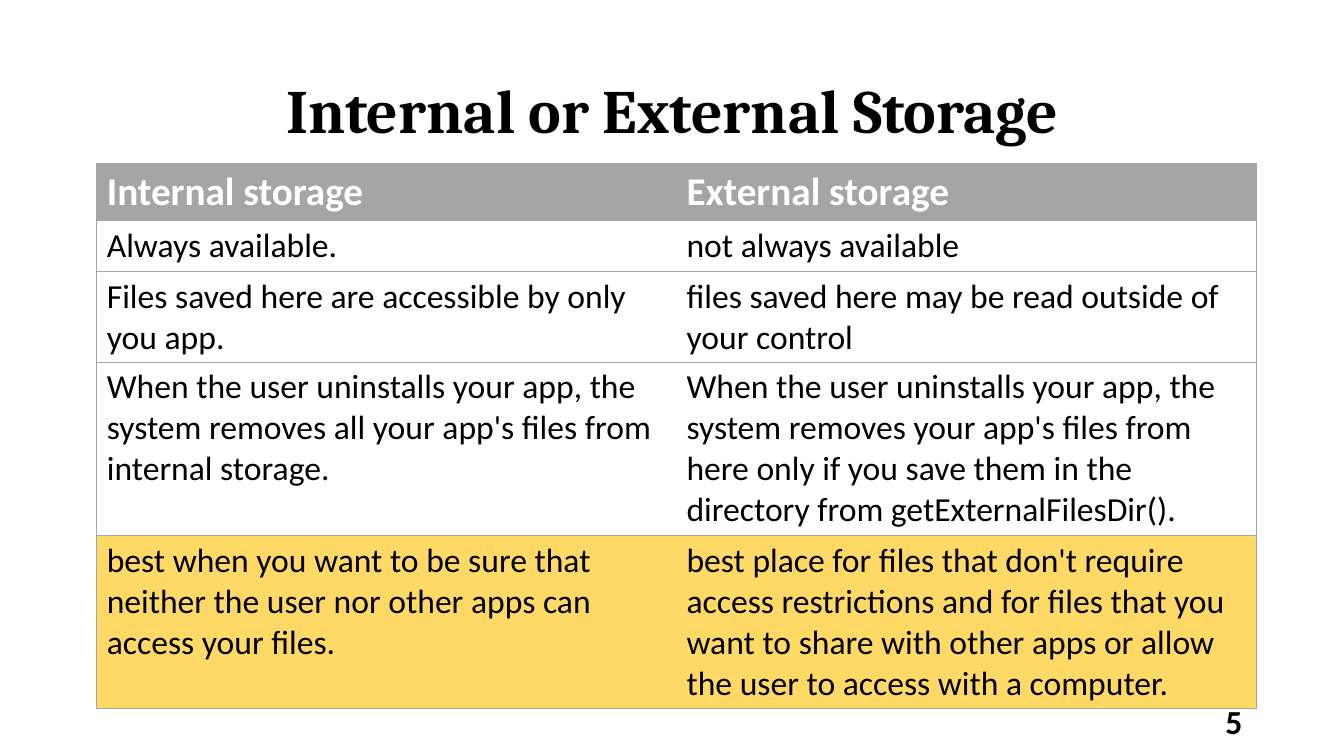
from pptx import Presentation
from pptx.dml.color import RGBColor
from pptx.enum.text import MSO_ANCHOR as ANCHOR, PP_ALIGN as ALIGN
from pptx.oxml import parse_xml
from pptx.oxml.ns import nsdecls
from pptx.util import Inches, Pt

BLACK, WHITE, GRAY, YELLOW = "000000", "FFFFFF", "A5A5A5", "FFD966"

STORAGE_ROWS = [
    ("Internal storage", "External storage"),
    ("Always available.", "not always available"),
    ("Files saved here are accessible by only you app.",
     "files saved here may be read outside of your control"),
    ("When the user uninstalls your app, the system removes all your app's "
     "files from internal storage.",
     "When the user uninstalls your app, the system removes your app's files "
     "from here only if you save them in the directory from "
     "getExternalFilesDir()."),
    ("best when you want to be sure that neither the user nor other apps can "
     "access your files.",
     "best place for files that don't require access restrictions and for "
     "files that you want to share with other apps or allow the user to "
     "access with a computer."),
]
ROW_HEIGHTS = [0.57, 0.5, 0.9, 1.72, 1.72]


def rgb(color):
    return RGBColor.from_string(color)


class SlideBuilder:
    def __init__(self, slide, border=GRAY, border_width=0.5):
        self.slide = slide
        self.border = border
        self.border_width = border_width

    def style(self, p, size, color=BLACK, bold=False, font="Calibri"):
        p.font.name = font
        p.font.size = Pt(size)
        p.font.bold = bold
        p.font.color.rgb = rgb(color)

    def text(self, left, top, width, height, text, size, align,
             font="Calibri", line_spacing=1.0):
        sp = self.slide.shapes.add_textbox(
            Inches(left), Inches(top), Inches(width), Inches(height))
        tf = sp.text_frame
        tf.word_wrap = True
        tf.vertical_anchor = ANCHOR.MIDDLE
        p = tf.paragraphs[0]
        p.text = text
        p.alignment = align
        p.line_spacing = line_spacing
        self.style(p, size, bold=True, font=font)

    def borders(self, cell, sides):
        """Draw the named sides (L, R, T, B) and hide the others."""
        tc_pr = cell._tc.get_or_add_tcPr()
        for i, side in enumerate("LRTB"):
            paint = (f'<a:solidFill><a:srgbClr val="{self.border}"/></a:solidFill>'
                     if side in sides else "<a:noFill/>")
            tc_pr.insert(i, parse_xml(
                f'<a:ln{side} {nsdecls("a")} w="{Pt(self.border_width)}">'
                f'{paint}</a:ln{side}>'))

    def table(self, left, top, width, rows, heights):
        """Draw a table with a gray header and a highlighted last row."""
        n_cols = len(rows[0])
        table = self.slide.shapes.add_table(
            len(rows), n_cols, Inches(left), Inches(top),
            Inches(width), Inches(sum(heights))).table
        table.horz_banding = False
        last = len(rows) - 1
        for i, (texts, height) in enumerate(zip(rows, heights)):
            table.rows[i].height = Inches(height)
            header = i == 0
            fill = GRAY if header else YELLOW if i == last else WHITE
            for j, text in enumerate(texts):
                cell = table.cell(i, j)
                cell.fill.solid()
                cell.fill.fore_color.rgb = rgb(fill)
                self.borders(cell, "TB" + ("L" if j == 0 else "")
                             + ("R" if j == n_cols - 1 else ""))
                p = cell.text_frame.paragraphs[0]
                p.text = text
                self.style(p, 28 if header else 24,
                           WHITE if header else BLACK, header)


def main():
    prs = Presentation()
    prs.slide_width = Inches(13.33)
    prs.slide_height = Inches(7.5)
    s = SlideBuilder(prs.slides.add_slide(prs.slide_layouts[6]))
    s.text(0.92, 0.4, 11.5, 1.45, "Internal or External Storage", 44,
           ALIGN.CENTER, font="Cambria", line_spacing=0.9)
    s.table(0.96, 1.62, 11.5, STORAGE_ROWS, ROW_HEIGHTS)
    s.text(9.42, 6.95, 3, 0.4, "5", 24, ALIGN.RIGHT)
    prs.save("out.pptx")


if __name__ == "__main__":
    main()
